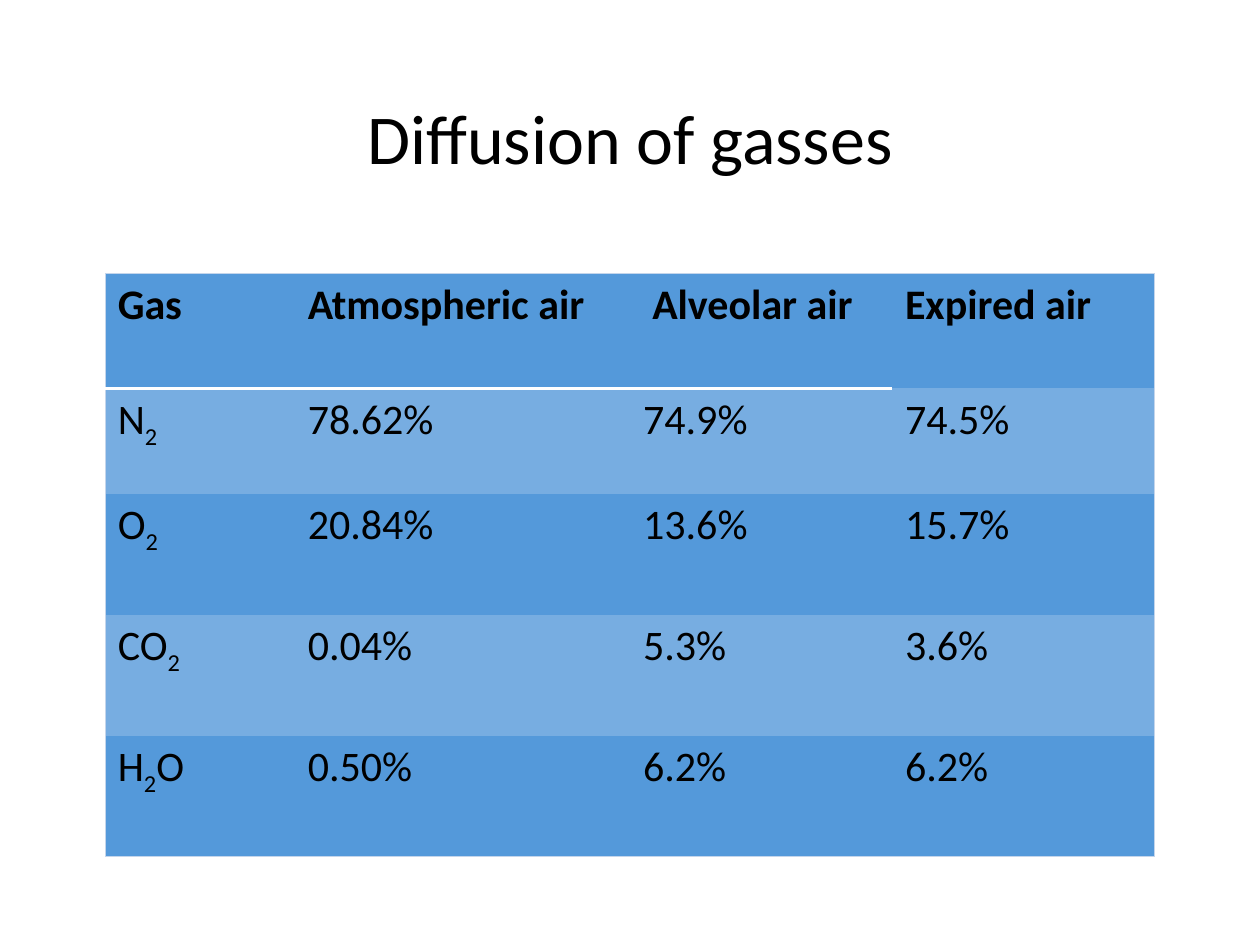
"""Build a slide with a table of gas shares in atmospheric, alveolar and expired air."""
import itertools

import lxml.etree
import pptx
import pptx.dml.color
import pptx.enum.text
import pptx.oxml.ns
import pptx.util
from pptx.util import Cm

BLACK = pptx.dml.color.RGBColor(0x00, 0x00, 0x00)
WHITE = pptx.dml.color.RGBColor(0xFF, 0xFF, 0xFF)
BLUE = pptx.dml.color.RGBColor(0x54, 0x99, 0xDA)
LIGHT_BLUE = pptx.dml.color.RGBColor(0x77, 0xAD, 0xE1)
EDGE = pptx.dml.color.RGBColor(0xC4, 0xD5, 0xEB)
FONT = "Calibri"
PLAIN_STYLE = "{2D5ABB26-0587-4C30-8999-92F81FD0307C}"

ROWS = [
    ["Gas", "Atmospheric air", "Alveolar air", "Expired air"],
    ["N2", "78.62%", "74.9%", "74.5%"],
    ["O2", "20.84%", "13.6%", "15.7%"],
    ["CO2", "0.04%", "5.3%", "3.6%"],
    ["H2O", "0.50%", "6.2%", "6.2%"],
]
COLUMN_WIDTHS = [3.83, 6.76, 5.28, 5.28]
ROW_HEIGHTS = [2.32, 2.12, 2.44, 2.44, 2.44]


def add_border(cell, side, color, width):
    properties = cell._tc.get_or_add_tcPr()
    line = lxml.etree.SubElement(properties, pptx.oxml.ns.qn("a:ln" + side))
    line.set("w", str(pptx.util.Pt(width)))
    fill = lxml.etree.SubElement(line, pptx.oxml.ns.qn("a:solidFill"))
    lxml.etree.SubElement(fill, pptx.oxml.ns.qn("a:srgbClr")).set("val", str(color))


def style_font(font, size):
    font.name = FONT
    font.size = pptx.util.Pt(size)
    font.color.rgb = BLACK


deck = pptx.Presentation()
deck.slide_width = Cm(25.4)
deck.slide_height = Cm(19.05)
page = deck.slides.add_slide(deck.slide_layouts[5])

title = page.shapes.title
title.left, title.top, title.width, title.height = Cm(1.75), Cm(1.02), Cm(21.9), Cm(3.68)
title.text_frame.text = "Diffusion of gasses"
title.text_frame.vertical_anchor = pptx.enum.text.MSO_ANCHOR.MIDDLE
heading = title.text_frame.paragraphs[0]
heading.alignment = pptx.enum.text.PP_ALIGN.CENTER
heading.line_spacing = 0.9
style_font(heading.runs[0].font, 40)

frame = page.shapes.add_table(
    len(ROWS), len(COLUMN_WIDTHS), Cm(2.12), Cm(5.51),
    Cm(sum(COLUMN_WIDTHS)), Cm(sum(ROW_HEIGHTS)),
)
table = frame.table
table._tbl.tblPr.find(pptx.oxml.ns.qn("a:tableStyleId")).text = PLAIN_STYLE
for column, width in zip(table.columns, COLUMN_WIDTHS):
    column.width = Cm(width)
for row, height in zip(table.rows, ROW_HEIGHTS):
    row.height = Cm(height)

last_row, last_column = len(ROWS) - 1, len(COLUMN_WIDTHS) - 1
for row_index, values in enumerate(ROWS):
    for column_index, value in enumerate(values):
        cell = table.cell(row_index, column_index)
        if column_index == 0:
            add_border(cell, "L", EDGE, 0.5)
        if column_index == last_column:
            add_border(cell, "R", EDGE, 0.5)
        if row_index == 0:
            add_border(cell, "T", EDGE, 0.5)
            if column_index < last_column:
                add_border(cell, "B", WHITE, 1.5)
        if row_index == last_row:
            add_border(cell, "B", EDGE, 0.5)
        cell.fill.solid()
        cell.fill.fore_color.rgb = LIGHT_BLUE if row_index % 2 else BLUE

        para = cell.text_frame.paragraphs[0]
        is_formula = column_index == 0 and row_index > 0
        parts = itertools.groupby(value, str.isdigit) if is_formula else [(False, value)]
        for is_subscript, letters in parts:
            span = para.add_run()
            span.text = "".join(letters)
            style_font(span.font, 24)
            span.font.bold = row_index == 0
            if is_subscript:
                span._r.get_or_add_rPr().set("baseline", "-25000")

table.cell(0, 2).margin_left = Cm(0.44)

deck.save("out.pptx")
